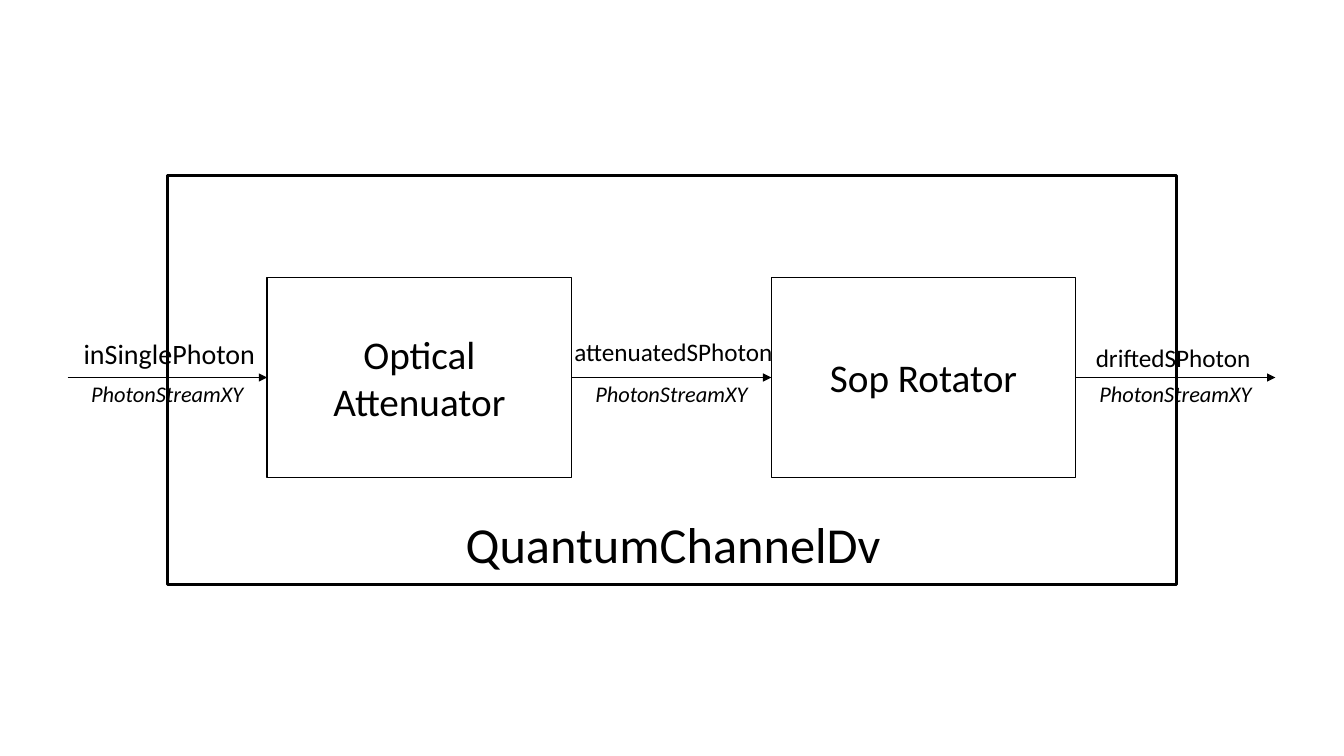
from lxml import etree
from pptx import Presentation
from pptx.dml.color import RGBColor
from pptx.enum.shapes import MSO_CONNECTOR, MSO_SHAPE
from pptx.enum.text import MSO_AUTO_SIZE, PP_ALIGN
from pptx.oxml.ns import qn
from pptx.util import Inches, Pt

RECTANGLE = MSO_SHAPE.RECTANGLE
STRAIGHT = MSO_CONNECTOR.STRAIGHT
LEFT, CENTER = PP_ALIGN.LEFT, PP_ALIGN.CENTER
FIT_TEXT = MSO_AUTO_SIZE.SHAPE_TO_FIT_TEXT
COLORS = {"ink": "000000"}
FONT = "Calibri"
LEFT_SIDE, RIGHT_SIDE = 1, 3
LABEL_WIDTH = 2.64


def ink():
    return RGBColor.from_string(COLORS["ink"])


def add_frame(slide, box, weight):
    frame = slide.shapes.add_shape(RECTANGLE, *map(Inches, box))
    frame.shadow.inherit = False
    frame.fill.background()
    frame.line.color.rgb = ink()
    frame.line.width = Pt(weight)
    return frame


def add_label(slide, box, text, size, align=CENTER, italic=False, wrap=True):
    label = slide.shapes.add_textbox(*map(Inches, box)).text_frame
    label.word_wrap = wrap
    label.auto_size = FIT_TEXT
    label.text = text
    paragraph = label.paragraphs[0]
    paragraph.alignment = align
    font = paragraph.runs[0].font
    font.name, font.size, font.italic = FONT, Pt(size), italic
    font.color.rgb = ink()


def add_stage_name(slide, box, name, height):
    """Name of a stage, centred in the box of that stage."""
    left, top, width, stage_height = box
    add_label(slide, (left + (width - LABEL_WIDTH) / 2, top + (stage_height - height) / 2,
                      LABEL_WIDTH, height), name, 28)


def add_signal(slide, start, end, y, source=None, target=None):
    """Arrow from start to end, joined to the stages it touches."""
    signal = slide.shapes.add_connector(
        STRAIGHT, Inches(start), Inches(y), Inches(end), Inches(y))
    if source is not None:
        signal.begin_connect(source, RIGHT_SIDE)
    if target is not None:
        signal.end_connect(target, LEFT_SIDE)
    signal.line.color.rgb = ink()
    signal.line.width = Pt(0.5)
    etree.SubElement(signal.line._get_or_add_ln(), qn("a:tailEnd"), type="triangle")
    etree.SubElement(signal._element.spPr, qn("a:effectLst"))


def add_channel(slide, box):
    """Channel frame with its two stages, signals and labels."""
    left, top, width, height = box
    stage_width, stage_height, gap = 3.02, 1.99, 1.98
    stage_top = top + 1.01
    axis = stage_top + stage_height / 2
    stage_lefts = [left + 0.99 + i * (stage_width + gap) for i in range(2)]
    stage_boxes = [(x, stage_top, stage_width, stage_height) for x in stage_lefts]

    # Stages
    attenuator, rotator = [add_frame(slide, stage, 1) for stage in stage_boxes]

    # Signals, one before, between and after the stages
    starts = [stage_lefts[0] - gap] + [x + stage_width for x in stage_lefts]
    ends = [(None, attenuator), (attenuator, rotator), (rotator, None)]
    for start, (source, target) in zip(starts, ends):
        add_signal(slide, start, start + gap, axis, source, target)

    # Channel frame and its name
    add_frame(slide, box, 2.25)
    add_label(slide, (left + 2.86, top + height - 0.76, 4.64, 0.71),
              "QuantumChannelDv", 36, LEFT)

    # Stage names
    for stage, name, name_height in zip(
            stage_boxes, ("Optical Attenuator", "Sop Rotator"), (1.04, 0.57)):
        add_stage_name(slide, stage, name, name_height)

    # Signal types under the arrows
    for start in starts:
        add_label(slide, (start + (gap - LABEL_WIDTH) / 2, axis - 0.02, LABEL_WIDTH, 0.37),
                  "PhotonStreamXY", 16, italic=True)

    # Signal names over the arrows
    name_top = axis - 0.46
    for start, name, size, name_height in zip(
            starts, ("inSinglePhoton", "attenuatedSPhoton"), (20, 18), (0.44, 0.4)):
        add_label(slide, (start - 0.31, name_top, LABEL_WIDTH, name_height), name, size)
    add_label(slide, (starts[2] + 0.1, name_top + 0.06, 1.76, 0.4),
              "driftedSPhoton", 18, LEFT, wrap=False)


def main():
    presentation = Presentation()
    presentation.slide_width = Inches(13.33)
    presentation.slide_height = Inches(7.5)
    slide = presentation.slides.add_slide(presentation.slide_layouts[6])
    add_channel(slide, (1.66, 1.74, 10.01, 4.06))
    presentation.save("out.pptx")


if __name__ == "__main__":
    main()
